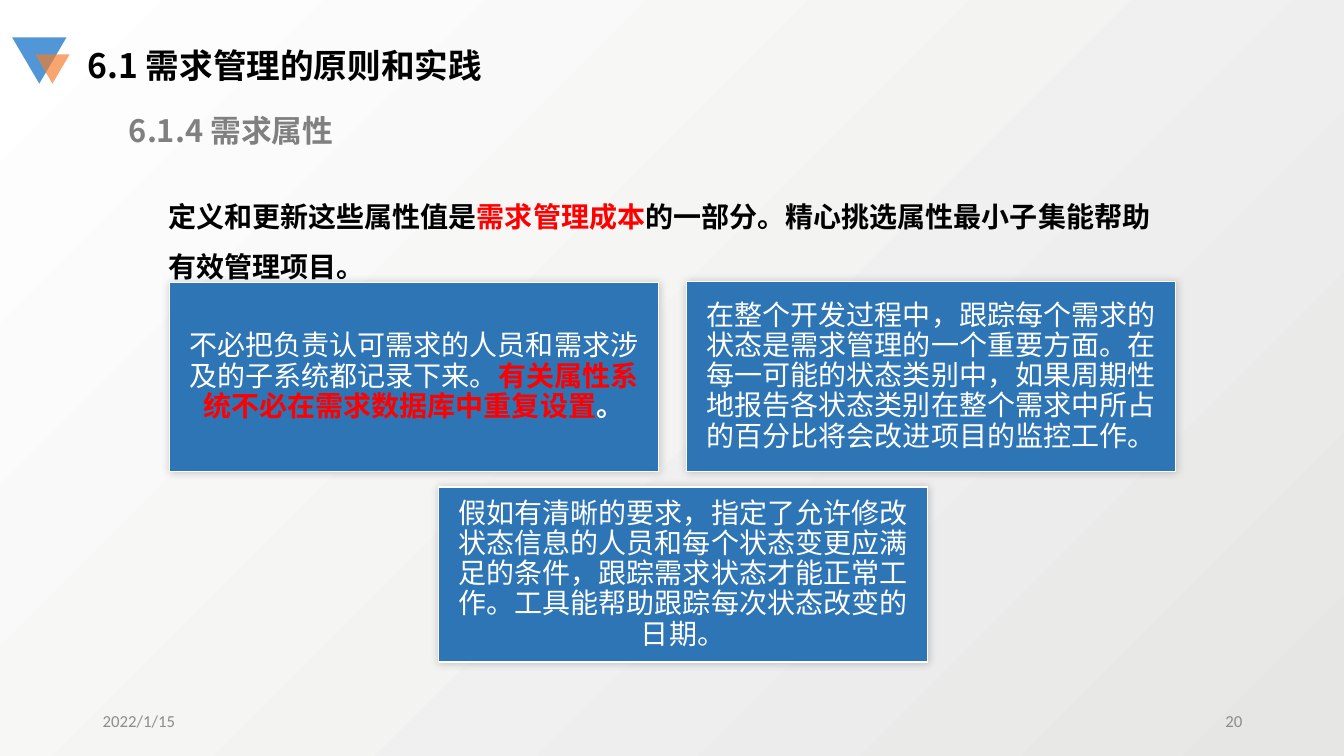
from lxml import etree
from pptx import Presentation
from pptx.dml.color import RGBColor
from pptx.enum import shapes, text
from pptx.oxml.ns import qn
from pptx.util import Inches, Pt

BLACK = RGBColor(0, 0, 0)
WHITE = RGBColor(255, 255, 255)
RED = RGBColor(255, 0, 0)
GRAY = RGBColor(0x80, 0x80, 0x80)
PALE = RGBColor(0x8C, 0x8C, 0x8C)
BLUE = RGBColor(0x2E, 0x75, 0xB6)
SKY = RGBColor(0x51, 0x97, 0xD7)
ORANGE = RGBColor(0xF3, 0x7D, 0x2A)
MIST = RGBColor(0xE6, 0xE6, 0xE5)
HAN = "Noto Sans CJK SC"

CARDS = [
    ((1.68, 2.8, 4.85, 1.88),
     [("不必把负责认可需求的人员和需求涉及的子系统都记录下来。", WHITE, False),
      ("有关属性系统不必在需求数据库中重复设置", RED, True),
      ("。", WHITE, True)]),
    ((6.81, 2.79, 4.85, 1.89),
     [("在整个开发过程中，跟踪每个需求的状态是需求管理的一个重要方面。"
       "在每一可能的状态类别中，如果周期性地报告各状态类别在整个需求中"
       "所占的百分比将会改进项目的监控工作。", WHITE, False)]),
    ((4.35, 4.83, 4.85, 1.74),
     [("假如有清晰的要求，指定了允许修改状态信息的人员和每个状态变更应"
       "满足的条件，跟踪需求状态才能正常工作。工具能帮助跟踪每次状态改变"
       "的日期。", WHITE, False)]),
]


def place(box):
    return [Inches(n) for n in box]


def write(frame, parts, size, align=text.PP_ALIGN.LEFT, font=HAN, space=1.0,
          anchor=text.MSO_ANCHOR.TOP):
    """Fill a frame with one paragraph of (words, colour, bold) parts."""
    frame.word_wrap = True
    frame.auto_size = text.MSO_AUTO_SIZE.NONE
    frame.vertical_anchor = anchor
    para = frame.paragraphs[0]
    para.alignment = align
    para.line_spacing = space
    for words, color, bold in parts:
        run = para.add_run()
        run.text = words
        run.font.size = Pt(size)
        run.font.bold = bold
        run.font.color.rgb = color
        run.font.name = font
        east = etree.SubElement(run.font._element, qn("a:ea"))
        east.set("typeface", font)


def label(slide, box, parts, size, **style):
    shape = slide.shapes.add_textbox(*place(box))
    write(shape.text_frame, parts, size, **style)


def solid(slide, kind, box, color):
    shape = slide.shapes.add_shape(kind, *place(box))
    shape.shadow.inherit = False
    shape.fill.solid()
    shape.fill.fore_color.rgb = color
    shape.line.fill.background()
    return shape


def fade(parent, share):
    etree.SubElement(parent, qn("a:alpha")).set("val", str(share * 1000))


def mark(slide):
    """Draw the two overlapping triangles beside the title."""
    kind = shapes.MSO_SHAPE.ISOSCELES_TRIANGLE
    big = solid(slide, kind, (0.12, 0.37, 0.54, 0.46), SKY)
    small = solid(slide, kind, (0.35, 0.54, 0.34, 0.29), ORANGE)
    big.rotation = small.rotation = 180
    fade(small._element.spPr.find(".//" + qn("a:srgbClr")), 68)


def card(slide, box, parts):
    shape = solid(slide, shapes.MSO_SHAPE.RECTANGLE, box, BLUE)
    shape.line.color.rgb = WHITE
    shape.line.width = Pt(1)
    glow = etree.SubElement(shape._element.spPr.find(qn("a:effectLst")),
                            qn("a:outerShdw"), blurRad=str(Pt(6)), dist="0",
                            dir=str(315 * 60000), rotWithShape="0")
    fade(etree.SubElement(glow, qn("a:srgbClr"), val=str(BLACK)), 20)
    frame = shape.text_frame
    frame.margin_left = frame.margin_right = Inches(0.08)
    frame.margin_top = frame.margin_bottom = Inches(0.08)
    write(frame, parts, 20, align=text.PP_ALIGN.CENTER, space=0.9,
          anchor=text.MSO_ANCHOR.MIDDLE)


def head(slide, box, words):
    title = slide.shapes.title
    title.left, title.top, title.width, title.height = place(box)
    write(title.text_frame, [(words, BLACK, True)], 24)


def shade(slide):
    fill = slide.background.fill
    fill.gradient()
    fill.gradient_angle = 135
    for stop, color, spot in zip(fill.gradient_stops, (MIST, WHITE), (0, 1)):
        stop.color.rgb = color
        stop.position = spot


def main():
    deck = Presentation()
    deck.slide_width, deck.slide_height = Inches(13.33), Inches(7.5)
    slide = deck.slides.add_slide(deck.slide_layouts[5])
    shade(slide)
    mark(slide)
    head(slide, (0.77, 0.4, 4.41, 0.5), "6.1 需求管理的原则和实践")
    label(slide, (1.18, 1.06, 7.38, 0.47), [("6.1.4 需求属性", GRAY, True)], 22)
    label(slide, (1.57, 1.76, 10.19, 1.03),
          [("定义和更新这些属性值是", BLACK, True),
           ("需求管理成本", RED, True),
           ("的一部分。精心挑选属性最小子集能帮助有效管理项目。", BLACK, True)],
          20, space=1.5)
    for box, parts in CARDS:
        card(slide, box, parts)
    for left, words, align in ((0.92, "2022/1/15", text.PP_ALIGN.LEFT),
                               (9.42, "20", text.PP_ALIGN.RIGHT)):
        label(slide, (left, 6.95, 3, 0.4), [(words, PALE, False)], 12,
              align=align, font="Calibri", anchor=text.MSO_ANCHOR.MIDDLE)
    deck.save("out.pptx")


if __name__ == "__main__":
    main()
